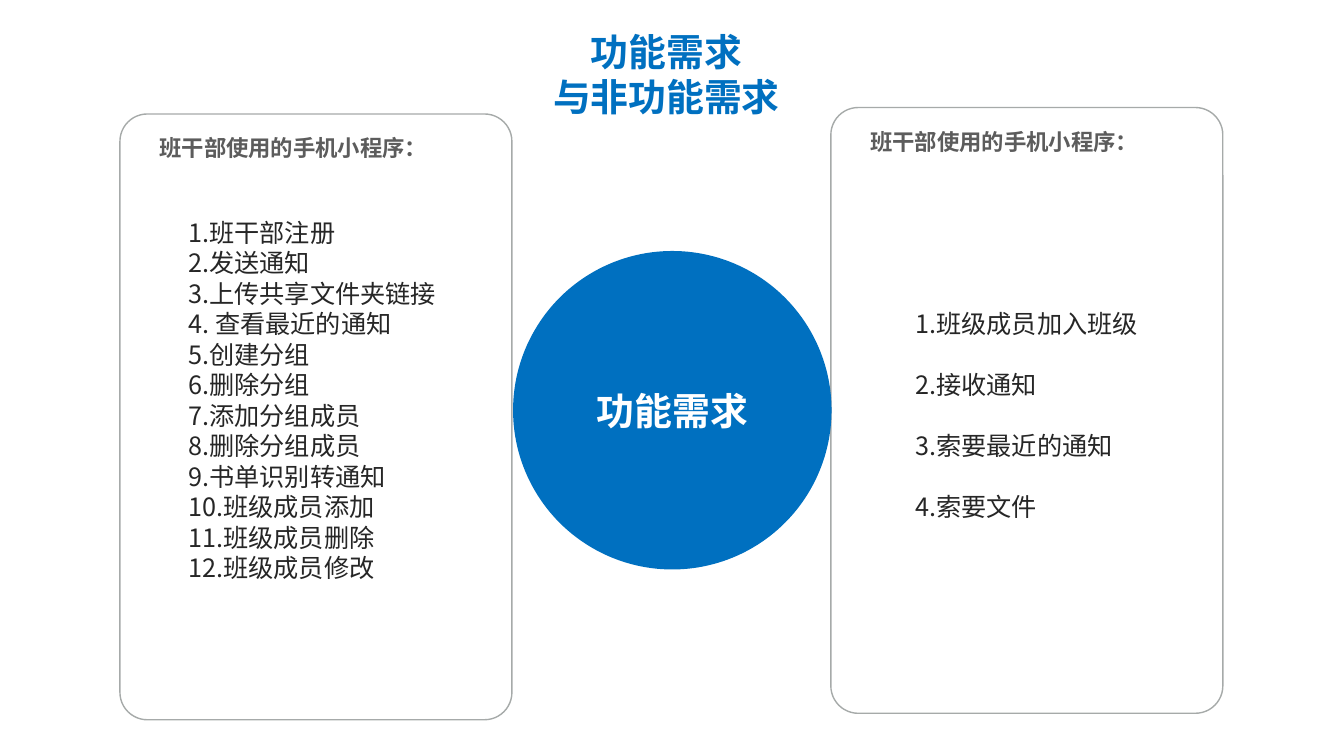
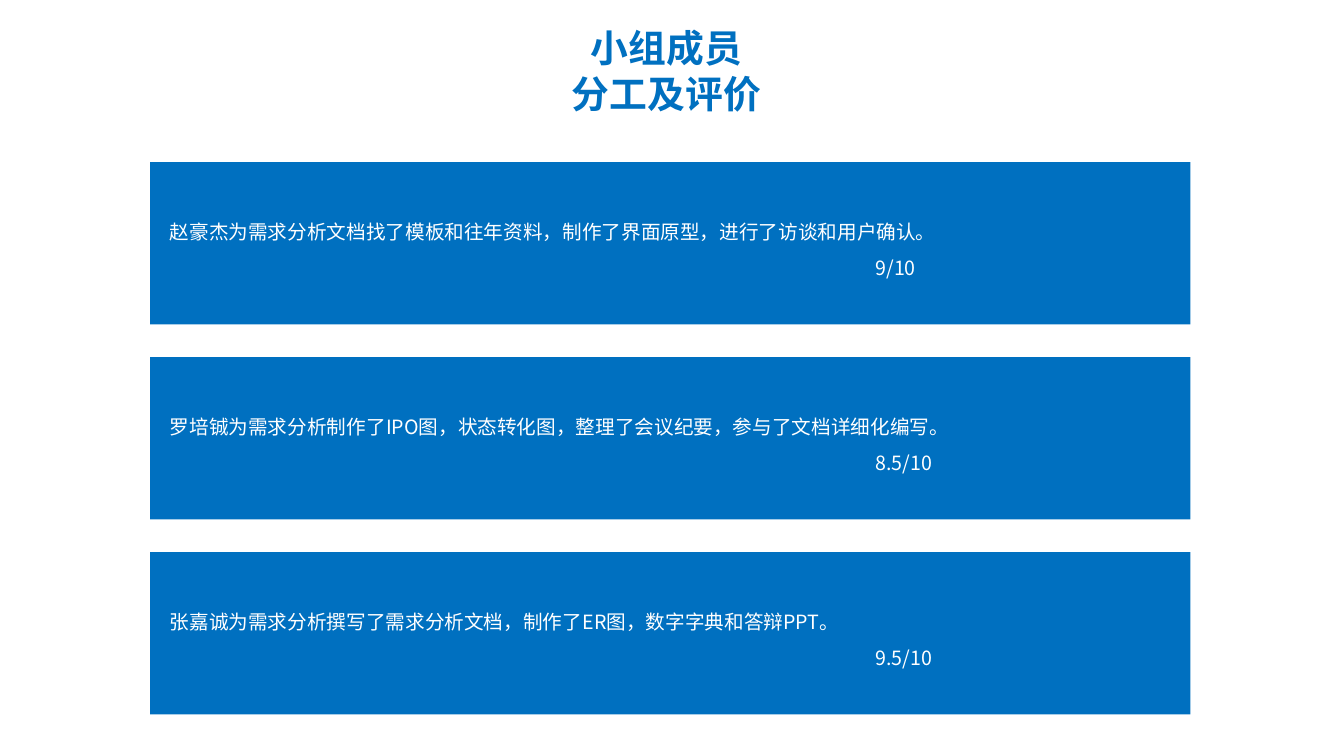
from dataclasses import dataclass

from lxml import etree
from pptx import Presentation
from pptx.dml.color import RGBColor
from pptx.enum.shapes import MSO_SHAPE
from pptx.enum.text import MSO_ANCHOR, PP_ALIGN
from pptx.oxml.ns import qn
from pptx.util import Pt

ROUNDED, OVAL, RECTANGLE = MSO_SHAPE.ROUNDED_RECTANGLE, MSO_SHAPE.OVAL, MSO_SHAPE.RECTANGLE
LEFT, CENTER = PP_ALIGN.LEFT, PP_ALIGN.CENTER
TOP, MIDDLE = MSO_ANCHOR.TOP, MSO_ANCHOR.MIDDLE
BLANK_LAYOUT = 6


@dataclass(frozen=True)
class Theme:
    font: str = "Noto Sans CJK SC"
    blue: str = "0070C0"
    white: str = "FFFFFF"
    outline: str = "A6AAA9"
    heading: str = "5C5C5C"
    body: str = "262626"
    title_size: int = 27
    heading_size: int = 16
    list_size: int = 18
    bar_size: int = 14
    line_height: float = 1.21  # line pitch as a multiple of the type size


class Deck:
    def __init__(self, theme):
        self.theme = theme
        self.presentation = Presentation()
        self.presentation.slide_width = Pt(960)
        self.presentation.slide_height = Pt(540)
        self.slide = None

    def new_slide(self, title_lines, title_top):
        layout = self.presentation.slide_layouts[BLANK_LAYOUT]
        self.slide = self.presentation.slides.add_slide(layout)
        box = self.text_box(370, title_top, 212, 66)
        for line in title_lines:
            self.add_text(box, line, self.theme.title_size, self.theme.blue, True, CENTER)

    def text_box(self, left, top, width, height, anchor=TOP):
        box = self.slide.shapes.add_textbox(Pt(left), Pt(top), Pt(width), Pt(height))
        return self.set_frame(box, anchor)

    def set_frame(self, shape, anchor, left=0, top=0):
        frame = shape.text_frame
        frame.word_wrap = True
        frame.vertical_anchor = anchor
        frame.margin_left, frame.margin_top = Pt(left), Pt(top)
        frame.margin_right = frame.margin_bottom = 0
        return shape

    def add_text(self, shape, text, size, color, bold=False, align=LEFT, spacing=1, indent=0, after=0):
        """Add one paragraph, filling the empty first one if it is still free."""
        frame = shape.text_frame
        paragraph = frame.paragraphs[0]
        if paragraph.runs:
            paragraph = frame.add_paragraph()
        paragraph.alignment = align
        paragraph.line_spacing = Pt(round(size * self.theme.line_height * spacing, 1))
        paragraph.space_after = Pt(after)
        if indent:
            paragraph._p.get_or_add_pPr().set("marL", str(Pt(indent)))
        run = paragraph.add_run()
        run.text = text
        font = run.font
        font.name, font.size, font.bold = self.theme.font, Pt(size), bold
        font.color.rgb = RGBColor.from_string(color)
        east_asian = etree.SubElement(run._r.get_or_add_rPr(), qn("a:ea"))
        east_asian.set("typeface", self.theme.font)

    def shape(self, kind, left, top, width, height, fill=None, line=None):
        shape = self.slide.shapes.add_shape(kind, Pt(left), Pt(top), Pt(width), Pt(height))
        shape.shadow.inherit = False
        if fill:
            shape.fill.solid()
            shape.fill.fore_color.rgb = RGBColor.from_string(fill)
        else:
            shape.fill.background()
        if line:
            shape.line.color.rgb = RGBColor.from_string(line)
            shape.line.width = Pt(1)
        else:
            shape.line.fill.background()
        return shape

    def panel(self, left, top, heading):
        panel = self.shape(ROUNDED, left, top, 280, 432.7, line=self.theme.outline)
        panel.adjustments[0] = 0.07
        box = self.text_box(left + 28.2, top + 6.3, 197, 31.7, MIDDLE)
        self.add_text(box, heading, self.theme.heading_size, self.theme.heading, True, spacing=1.2)

    def numbered_list(self, left, top, items, gap=0):
        pitch = self.theme.list_size * self.theme.line_height + gap
        box = self.text_box(left, top, 210, len(items) * pitch)
        for item in items:
            self.add_text(box, item, self.theme.list_size, self.theme.body, after=gap)

    def circle(self, left, top, diameter, text):
        circle = self.shape(OVAL, left, top, diameter, diameter, fill=self.theme.blue)
        self.set_frame(circle, MIDDLE)
        self.add_text(circle, text, self.theme.title_size, self.theme.white, True, CENTER)

    def member_bar(self, top, work, score):
        bar = self.shape(RECTANGLE, 107.3, top, 743, 116, fill=self.theme.blue)
        self.set_frame(bar, TOP, left=14, top=33)
        for text, indent in ((work, 0), (score, 504)):
            self.add_text(bar, text, self.theme.bar_size, self.theme.white, spacing=1.5, indent=indent)


def requirements_slide(deck):
    deck.new_slide(("功能需求", "与非功能需求"), 20)
    heading = "班干部使用的手机小程序："
    deck.panel(85.7, 81.4, heading)
    deck.panel(593.5, 76.8, heading)
    deck.circle(366.5, 179.3, 227.5, "功能需求")
    deck.numbered_list(134.6, 154.8, (
        "1.班干部注册", "2.发送通知", "3.上传共享文件夹链接", "4. 查看最近的通知",
        "5.创建分组", "6.删除分组", "7.添加分组成员", "8.删除分组成员",
        "9.书单识别转通知", "10.班级成员添加", "11.班级成员删除", "12.班级成员修改",
    ))
    deck.numbered_list(653.8, 220.3, (
        "1.班级成员加入班级", "2.接收通知", "3.索要最近的通知", "4.索要文件",
    ), gap=21.6)


def members_slide(deck):
    deck.new_slide(("小组成员", "分工及评价"), 17.3)
    members = (
        ("赵豪杰为需求分析文档找了模板和往年资料，制作了界面原型，进行了访谈和用户确认。", "9/10"),
        ("罗培铖为需求分析制作了IPO图，状态转化图，整理了会议纪要，参与了文档详细化编写。", "8.5/10"),
        ("张嘉诚为需求分析撰写了需求分析文档，制作了ER图，数字字典和答辩PPT。", "9.5/10"),
    )
    for index, (work, score) in enumerate(members):
        deck.member_bar(115.8 + index * 139.3, work, score)


def main():
    deck = Deck(Theme())
    requirements_slide(deck)
    members_slide(deck)
    deck.presentation.save("out.pptx")


if __name__ == "__main__":
    main()
